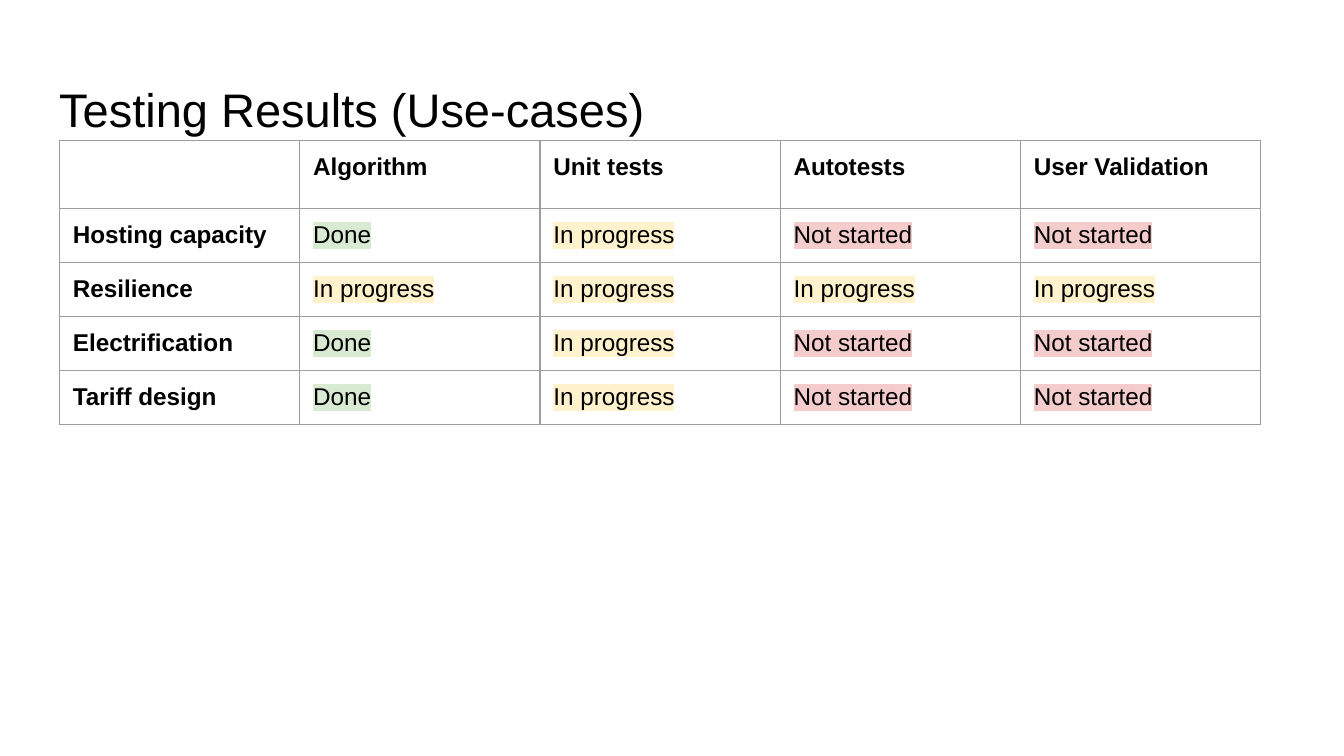
from lxml import etree
from pptx import Presentation
from pptx.dml.color import RGBColor
from pptx.enum.text import MSO_ANCHOR, MSO_AUTO_SIZE, PP_ALIGN
from pptx.oxml.ns import qn
from pptx.util import Pt

TOP, BOTTOM = MSO_ANCHOR.TOP, MSO_ANCHOR.BOTTOM
LEFT = PP_ALIGN.LEFT
NO_FIT = MSO_AUTO_SIZE.NONE

TINTS = {"Done": "D9EAD3", "In progress": "FFF2CC", "Not started": "F4CCCC"}
HEADS = ["", "Algorithm", "Unit tests", "Autotests", "User Validation"]
CASES = {
    "Hosting capacity": ["Done", "In progress", "Not started", "Not started"],
    "Resilience": ["In progress"] * 4,
    "Electrification": ["Done", "In progress", "Not started", "Not started"],
    "Tariff design": ["Done", "In progress", "Not started", "Not started"],
}


def color(code):
    return RGBColor.from_string(code)


def add_color(parent, code):
    """Append a solid colour child to an XML element."""
    etree.SubElement(parent, qn("a:srgbClr"), val=code)


def write(frame, text, font="Arial", size=13, ink="000000", bold=False,
          tint=None):
    """Put one formatted run in a text frame, highlighted if tint is given."""
    para = frame.paragraphs[0]
    para.alignment = LEFT
    run = para.add_run()
    run.text = text
    run.font.name = font
    run.font.size = Pt(size)
    run.font.bold = bold
    run.font.color.rgb = color(ink)
    if tint:
        mark = etree.Element(qn("a:highlight"))
        add_color(mark, tint)
        # The schema wants the highlight right after the text fill
        run._r.get_or_add_rPr().find(qn("a:solidFill")).addnext(mark)


class Deck:
    """Holds the style and the current slide."""
    pad = Pt(7.2)
    edge = "9E9E9E"
    width = Pt(0.75)

    def __init__(self, wide, high):
        self.prs = Presentation()
        self.prs.slide_width, self.prs.slide_height = Pt(wide), Pt(high)
        self.slide = self.prs.slides.add_slide(self.prs.slide_layouts[5])

    def inset(self, box):
        box.margin_left = box.margin_right = self.pad
        box.margin_top = box.margin_bottom = self.pad

    def title(self, text, left, top, wide, high):
        shape = self.slide.shapes.title
        shape.left, shape.top = Pt(left), Pt(top)
        shape.width, shape.height = Pt(wide), Pt(high)
        frame = shape.text_frame
        frame.auto_size = NO_FIT
        frame.word_wrap = True
        frame.vertical_anchor = BOTTOM
        self.inset(frame)
        write(frame, text, size=25.2)

    def border(self, cell):
        props = cell._tc.get_or_add_tcPr()
        for spot, side in enumerate(("lnL", "lnR", "lnT", "lnB")):
            line = etree.Element(qn(f"a:{side}"), w=str(int(self.width)))
            add_color(etree.SubElement(line, qn("a:solidFill")), self.edge)
            props.insert(spot, line)

    def table(self, rows, left, top, col, head, body):
        """Draw rows with one column width and a taller header row."""
        count = len(rows[0])
        high = head + body * (len(rows) - 1)
        grid = self.slide.shapes.add_table(
            len(rows), count, Pt(left), Pt(top), Pt(col * count), Pt(high)
        ).table
        for column in grid.columns:
            column.width = Pt(col)
        for i, row in enumerate(rows):
            grid.rows[i].height = Pt(body if i else head)
            for j, text in enumerate(row):
                cell = grid.cell(i, j)
                cell.fill.background()
                cell.vertical_anchor = TOP
                self.inset(cell)
                self.border(cell)
                if text:
                    write(cell.text_frame, text, bold=i == 0 or j == 0,
                          tint=TINTS.get(text))

    def save(self):
        self.prs.save("out.pptx")


def main():
    deck = Deck(720, 405)
    deck.title("Testing Results (Use-cases)", 24.5, 35.3, 671, 45.4)
    rows = [HEADS] + [[case, *states] for case, states in CASES.items()]
    deck.table(rows, left=31.9, top=75.3, col=128.7, head=35.1, body=28.8)
    deck.save()


if __name__ == "__main__":
    main()
